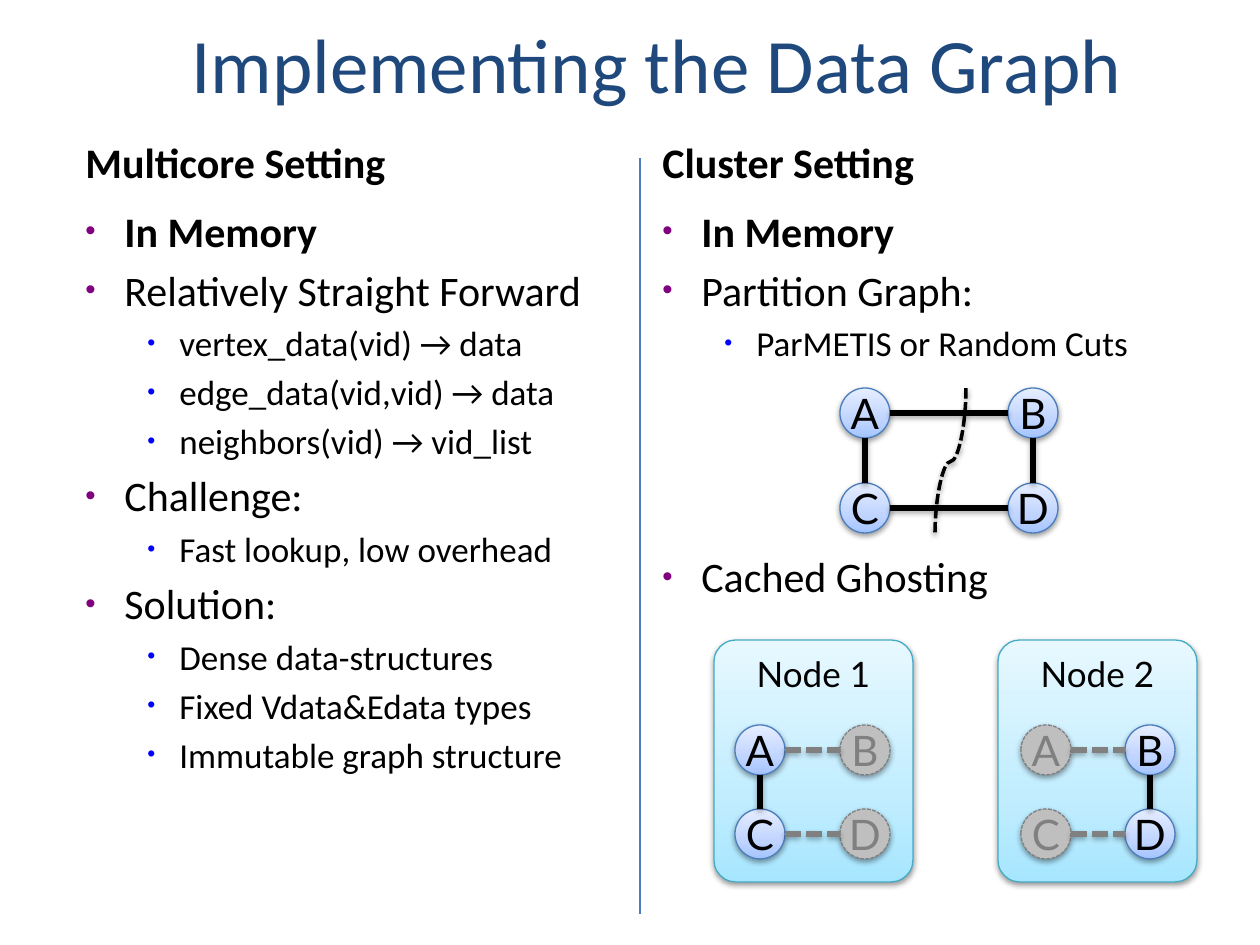
"""Build the slide comparing multicore and cluster data graphs."""
from lxml.etree import SubElement
from pptx import Presentation
from pptx.dml.color import RGBColor
from pptx.enum.dml import MSO_LINE
from pptx.enum.shapes import MSO_CONNECTOR as LINK, MSO_SHAPE as SHAPE
from pptx.enum.text import MSO_ANCHOR as ANCHOR, PP_ALIGN as ALIGN
from pptx.oxml.ns import qn
from pptx.util import Emu, Pt

COLORS = {
    "title": "1F497D", "text": "000000", "edge": "000000", "rule": "4B7EBC",
    "vertex": "4B7EBC", "machine": "46AAC5", "ghost": "808080",
    "ghost_fill": "BFBFBF", "shadow": "000000",
}
GRADIENTS = {
    "vertex": [(0, "A4C4FF"), (35, "BFD4FF"), (100, "E6EEFF")],
    "machine": [(0, "A7E6FF"), (35, "C1EDFF"), (100, "E7F8FF")],
}
LEVELS = [
    {"size": 24, "left": 39, "hang": 39, "bullet": "800080", "percent": 70},
    {"size": 20, "left": 94, "hang": 32, "bullet": "0000FF", "percent": 65},
]
TITLE = ("Implementing the Data Graph", (179, 10, 1018, 105))
COLUMNS = [
    {"left": 73, "heading": "Multicore Setting", "height": 588, "items": [
        (0, "In Memory"), (0, "Relatively Straight Forward"),
        (1, "vertex_data(vid) → data"), (1, "edge_data(vid,vid) → data"),
        (1, "neighbors(vid) → vid_list"),
        (0, "Challenge:"), (1, "Fast lookup, low overhead"),
        (0, "Solution:"), (1, "Dense data-structures"),
        (1, "Fixed Vdata&Edata types"), (1, "Immutable graph structure")]},
    {"left": 650, "heading": "Cluster Setting", "height": 525, "items": [
        (0, "In Memory"), (0, "Partition Graph:"),
        (1, "ParMETIS or Random Cuts"), (0, "Cached Ghosting")]},
]
BOLD_ITEM = "In Memory"
SPACE_BEFORE = {"Cached Ghosting": 107}
MACHINES = [("Node 1", 714), ("Node 2", 998)]
GRAPHS = [
    {"xs": (1021, 1125), "ys": (725, 809), "ghosts": "AC"},
    {"xs": (735, 840), "ys": (725, 809), "ghosts": "BD"},
    {"xs": (840, 1008), "ys": (388, 483), "ghosts": ""},
]
EDGES = ["AB", "CD", "AC", "BD"]
DIAMETER = 50
RULE = (640, 158, 640, 914)
CUT = (877, 446, 1024, 477)

prs = Presentation()


def px(value):
    return Emu(round(value * 914400 / 126))


prs.slide_width, prs.slide_height = px(1260), px(945)
slide = prs.slides.add_slide(prs.slide_layouts[6])
shapes = slide.shapes


def rgb(name):
    return RGBColor.from_string(COLORS[name])


def apply(target, formats):
    for name, value in formats.items():
        setattr(target, name, value)


def add_color(parent, value, alpha=None):
    color = SubElement(parent, qn("a:srgbClr"), val=value)
    if alpha:
        SubElement(color, qn("a:alpha"), val=str(alpha * 1000))


def write(paragraph, text, size, color="text", font="Calibri", bold=False):
    run = paragraph.add_run()
    run.text = text
    apply(run.font, {"size": Pt(size), "name": font, "bold": bold})
    run.font.color.rgb = rgb(color)


def add_box(box, anchor):
    frame = shapes.add_textbox(*map(px, box)).text_frame
    apply(frame, {"word_wrap": True, "vertical_anchor": anchor})
    return frame


def add_bullet(paragraph, level):
    props = paragraph._p.get_or_add_pPr()
    props.set("marL", str(px(level["left"])))
    props.set("indent", str(-px(level["hang"])))
    add_color(SubElement(props, qn("a:buClr")), level["bullet"])
    SubElement(props, qn("a:buSzPct"), val=str(level["percent"] * 1000))
    SubElement(props, qn("a:buFont"), typeface="Arial")
    SubElement(props, qn("a:buChar"), char="•")


def add_effects(shape, alpha=None):
    effects = SubElement(shape._element.spPr, qn("a:effectLst"))
    if alpha:
        shadow = SubElement(effects, qn("a:outerShdw"), blurRad="40000",
                            dist="20000", dir="5400000", rotWithShape="0")
        add_color(shadow, COLORS["shadow"], alpha)


def fill_gradient(shape, stops):
    shape.fill.gradient()
    shape.fill.gradient_angle = 90
    stop_list = shape._element.spPr.find(".//" + qn("a:gsLst"))
    for stop in list(stop_list):
        stop_list.remove(stop)
    for position, color in stops:
        add_color(SubElement(stop_list, qn("a:gs"), pos=str(position * 1000)), color)


def style_line(line, color, width, dashed):
    line.color.rgb = rgb(color)
    line.width = Pt(width)
    if dashed:
        line.dash_style = MSO_LINE.SQUARE_DOT


def add_node(preset, box, text, kind, size, anchor):
    node = shapes.add_shape(preset, *map(px, box))
    if kind in GRADIENTS:
        fill_gradient(node, GRADIENTS[kind])
    else:
        node.fill.solid()
        node.fill.fore_color.rgb = rgb("ghost_fill")
    style_line(node.line, kind, 0.75, kind == "ghost")
    add_effects(node, 38)
    apply(node.text_frame, {"word_wrap": False, "vertical_anchor": anchor})
    paragraph = node.text_frame.paragraphs[0]
    paragraph.alignment = ALIGN.CENTER
    write(paragraph, text, size, "ghost" if kind == "ghost" else "text", "Lato")
    return node


def add_link(ends, color, width, dashed=False, alpha=None, preset=LINK.STRAIGHT):
    link = shapes.add_connector(preset, *map(px, ends))
    style_line(link.line, color, width, dashed)
    add_effects(link, alpha)
    return link


def add_column(column):
    left = column["left"]
    heading = add_box((left, 105, 557, 88), ANCHOR.BOTTOM).paragraphs[0]
    heading.space_before = Pt(4.8)
    write(heading, column["heading"], 24, bold=True)
    body = add_box((left, 199, 557, column["height"]), ANCHOR.TOP)
    for index, (depth, text) in enumerate(column["items"]):
        paragraph = body.add_paragraph() if index else body.paragraphs[0]
        level = LEVELS[depth]
        paragraph.space_before = Pt(SPACE_BEFORE.get(text, level["size"] * 0.2))
        add_bullet(paragraph, level)
        write(paragraph, text, level["size"], bold=text == BOLD_ITEM)


def add_graph(graph):
    ghosts = graph["ghosts"]
    corners = {}
    for index, letter in enumerate("ABCD"):
        x, y = corners[letter] = graph["xs"][index % 2], graph["ys"][index // 2]
        kind = "ghost" if letter in ghosts else "vertex"
        add_node(SHAPE.OVAL, (x, y, DIAMETER, DIAMETER), letter, kind, 24, ANCHOR.MIDDLE)
    radius = DIAMETER // 2
    for start, end in EDGES:
        ghost_ends = (start in ghosts) + (end in ghosts)
        if ghost_ends == 2:
            continue
        (x1, y1), (x2, y2) = corners[start], corners[end]
        if y1 == y2:
            ends = (x1 + DIAMETER, y1 + radius, x2, y2 + radius)
        else:
            ends = (x1 + radius, y1 + DIAMETER, x2 + radius, y2)
        add_link(ends, "ghost" if ghost_ends else "edge", 3, bool(ghost_ends), 35)


title, title_box = TITLE
write(add_box(title_box, ANCHOR.BOTTOM).paragraphs[0], title, 44, "title")
for column in COLUMNS:
    add_column(column)
add_link(RULE, "rule", 0.75)
for label, left in MACHINES:
    machine = add_node(SHAPE.ROUNDED_RECTANGLE, (left, 640, 199, 242), label,
                       "machine", 20, ANCHOR.TOP)
    machine.adjustments[0] = 0.11
for graph in GRAPHS:
    add_graph(graph)
cut = add_link(CUT, "edge", 2, True, 38, LINK.CURVE)
cut._element.spPr.find(qn("a:xfrm")).set("rot", "5400000")
prs.save("out.pptx")
